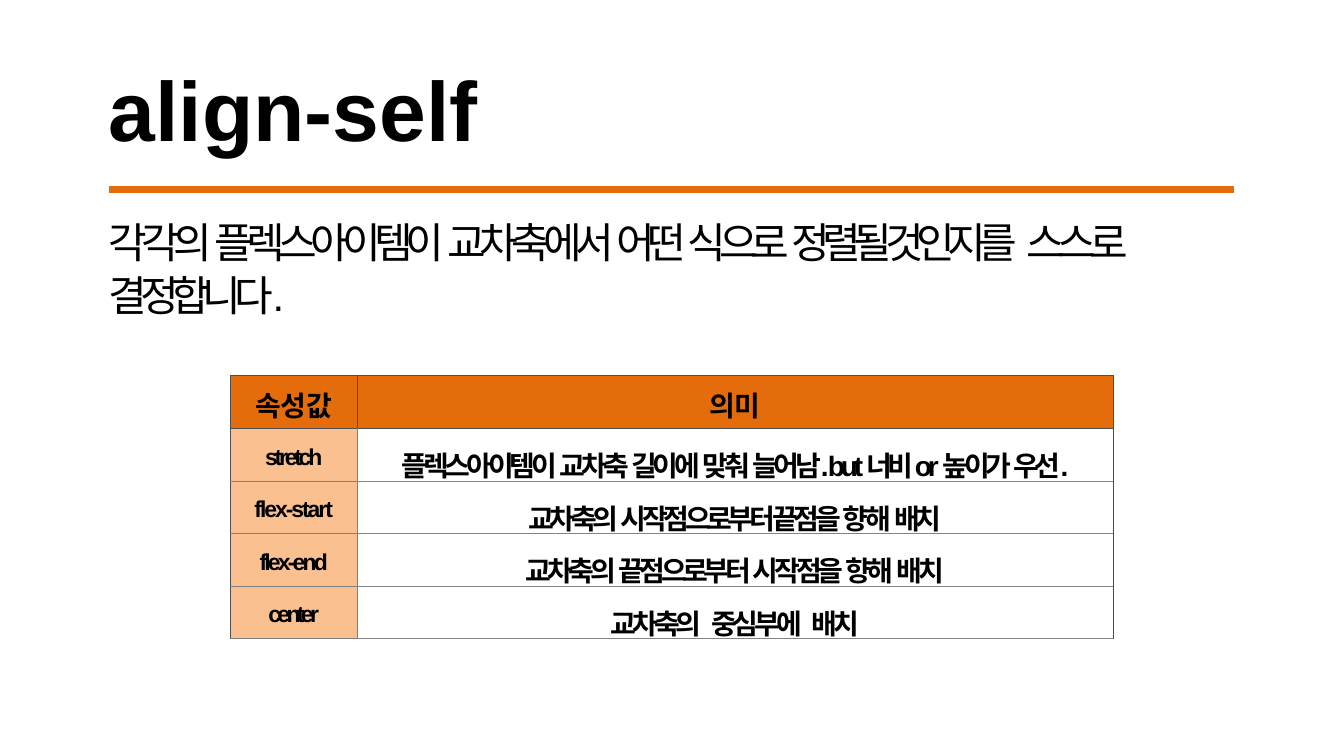
from dataclasses import dataclass

from pptx import Presentation
from pptx.dml.color import RGBColor
from pptx.enum.shapes import MSO_CONNECTOR
from pptx.enum.text import MSO_ANCHOR, MSO_AUTO_SIZE, PP_ALIGN
from pptx.oxml.ns import qn
from pptx.util import Emu, Pt
from lxml import etree

STRAIGHT = MSO_CONNECTOR.STRAIGHT
TOP = MSO_ANCHOR.TOP
GROW = MSO_AUTO_SIZE.SHAPE_TO_FIT_TEXT
LEFT, CENTER = PP_ALIGN.LEFT, PP_ALIGN.CENTER

BLACK = RGBColor(0x00, 0x00, 0x00)
ORANGE = RGBColor(0xE4, 0x6C, 0x0A)
PEACH = RGBColor(0xFA, 0xC0, 0x90)
DARK_GRAY = RGBColor(0x4D, 0x4D, 0x4D)
GRAY = RGBColor(0x80, 0x80, 0x80)
RULE_GRAY = RGBColor(0x83, 0x83, 0x83)

EMU_PER_PX = 9144
LABEL_WIDTH, MEANING_WIDTH, ROW_HEIGHT = 207, 1237, 86


@dataclass(frozen=True)
class Span:
    text: str
    spacing: float = 0


@dataclass(frozen=True)
class TextStyle:
    size: float
    font: str = "Arial"
    bold: bool = True
    align: PP_ALIGN = CENTER


@dataclass(frozen=True)
class Borders:
    left: RGBColor
    right: RGBColor
    top: RGBColor
    bottom: RGBColor


@dataclass(frozen=True)
class Property:
    name: Span
    meaning: list[Span]


TITLE_STYLE = TextStyle(99, align=LEFT)
BODY_STYLE = TextStyle(49.5, bold=False, align=LEFT)
HEADER_STYLE = TextStyle(33, "Comic Neue")
NAME_STYLE = TextStyle(27)
MEANING_STYLE = TextStyle(33)

BODY = [
    Span("각각의 ", -7.5), Span("플렉스아이템이 ", -8), Span("교차축에서 ", -7.8),
    Span("어떤 ", -8.9), Span("식으로 ", -8.4), Span("정렬될 것인지를", -9.2),
    Span(" ", -4.7), Span("스스로 ", -8.2), Span("결정합니다.", -8.6),
]
HEADERS = ["속성값", "의미"]
PROPERTIES = [
    Property(Span("stretch", -3.8), [
        Span("플렉스아이템이 ", -4.8), Span("교차축 ", -4.7), Span("길이에 ", -5),
        Span("맞춰 ", -4.8), Span("늘어남. but ", -5), Span("너비 ", -5.7),
        Span("or ", -4.8), Span("높이가 ", -4.9), Span("우선.", -5.4)]),
    Property(Span("flex-start", -2.4), [
        Span("교차축의 ", -4.9), Span("시작점으로부터 끝점을 ", -5.2),
        Span("향해 ", -3.9), Span("배치", -4.8)]),
    Property(Span("flex-end", -3.3), [
        Span("교차축의 ", -4.9), Span("끝점으로부터 ", -5.2), Span("시작점을 ", -5),
        Span("향해 ", -3.9), Span("배치", -4.8)]),
    Property(Span("center", -4.3), [
        Span("교차축의", -4.9), Span(" ", 3.7), Span("중심부에", -4.8),
        Span(" ", 3.7), Span("배치", -4.8)]),
]


def px(n: int) -> Emu:
    return Emu(n * EMU_PER_PX)


def write(p, spans: list[Span], style: TextStyle) -> None:
    p.alignment = style.align
    for span in spans:
        r = p.add_run()
        r.text = span.text
        r.font.size = Pt(style.size)
        r.font.name = style.font
        r.font.bold = style.bold
        r.font.color.rgb = BLACK
        if span.spacing:
            r._r.get_or_add_rPr().set("spc", str(round(span.spacing * 100)))


def fill_placeholder(sp, box: tuple[int, int, int, int], spans: list[Span],
                     style: TextStyle) -> None:
    sp.left, sp.top, sp.width, sp.height = map(px, box)
    tf = sp.text_frame
    tf.margin_left = tf.margin_right = tf.margin_bottom = 0
    tf.margin_top = px(1)
    tf.vertical_anchor = TOP
    tf.word_wrap = True
    tf.auto_size = GROW
    p = tf.paragraphs[0]
    pPr = p._p.get_or_add_pPr()
    pPr.set("marL", "0")
    pPr.set("indent", "0")
    etree.SubElement(pPr, qn("a:buNone"))
    p.space_before = Pt(0)
    write(p, spans, style)


def set_borders(cell, borders: Borders) -> None:
    tcPr = cell._tc.get_or_add_tcPr()
    sides = (("L", borders.left), ("R", borders.right),
             ("T", borders.top), ("B", borders.bottom))
    for side, color in sides:
        ln = etree.SubElement(tcPr, qn(f"a:ln{side}"), w=str(Pt(1)))
        solid = etree.SubElement(ln, qn("a:solidFill"))
        etree.SubElement(solid, qn("a:srgbClr"), val=str(color))


def fill_cell(cell, spans: list[Span], style: TextStyle, margin_top: int,
              borders: Borders, fill: RGBColor | None = None) -> None:
    cell.margin_left = cell.margin_right = cell.margin_bottom = 0
    cell.margin_top = px(margin_top)
    cell.vertical_anchor = TOP
    set_borders(cell, borders)
    if fill is None:
        cell.fill.background()
    else:
        cell.fill.solid()
        cell.fill.fore_color.rgb = fill
    write(cell.text_frame.paragraphs[0], spans, style)


def add_property_table(s) -> None:
    rows = len(PROPERTIES) + 1
    table = s.shapes.add_table(rows, 2, px(377), px(615),
                               px(LABEL_WIDTH + MEANING_WIDTH), px(ROW_HEIGHT * rows)).table
    table.first_row = table.horz_banding = False
    for column, width in zip(table.columns, (LABEL_WIDTH, MEANING_WIDTH)):
        column.width = px(width)
    for row in table.rows:
        row.height = px(ROW_HEIGHT)

    header_borders = Borders(DARK_GRAY, DARK_GRAY, DARK_GRAY, DARK_GRAY)
    for col, header in enumerate(HEADERS):
        fill_cell(table.cell(0, col), [Span(header)], HEADER_STYLE, 13, header_borders, ORANGE)
    for row, prop in enumerate(PROPERTIES, 1):
        name_top, meaning_top = (DARK_GRAY, DARK_GRAY) if row == 1 else (GRAY, RULE_GRAY)
        fill_cell(table.cell(row, 0), [prop.name], NAME_STYLE, 26,
                  Borders(DARK_GRAY, GRAY, name_top, GRAY), PEACH)
        fill_cell(table.cell(row, 1), prop.meaning, MEANING_STYLE, 26,
                  Borders(GRAY, DARK_GRAY, meaning_top, RULE_GRAY))


def add_title_rule(s) -> None:
    rule = s.shapes.add_connector(STRAIGHT, px(179), px(310), px(2019), px(310))
    rule.line.color.rgb = ORANGE
    rule.line.width = Pt(8.25)
    etree.SubElement(rule._element.spPr, qn("a:effectLst"))


def main() -> None:
    prs = Presentation()
    prs.slide_width, prs.slide_height = px(2199), px(1237)
    s = prs.slides.add_slide(prs.slide_layouts[1])
    fill_placeholder(s.shapes.title, (178, 93, 713, 168), [Span("align-self")], TITLE_STYLE)
    body = s.placeholders[1]
    fill_placeholder(body, (178, 349, 1841, 177), BODY, BODY_STYLE)
    body.text_frame.paragraphs[0].line_spacing = 1.05
    add_title_rule(s)
    add_property_table(s)
    prs.save("out.pptx")


if __name__ == "__main__":
    main()
